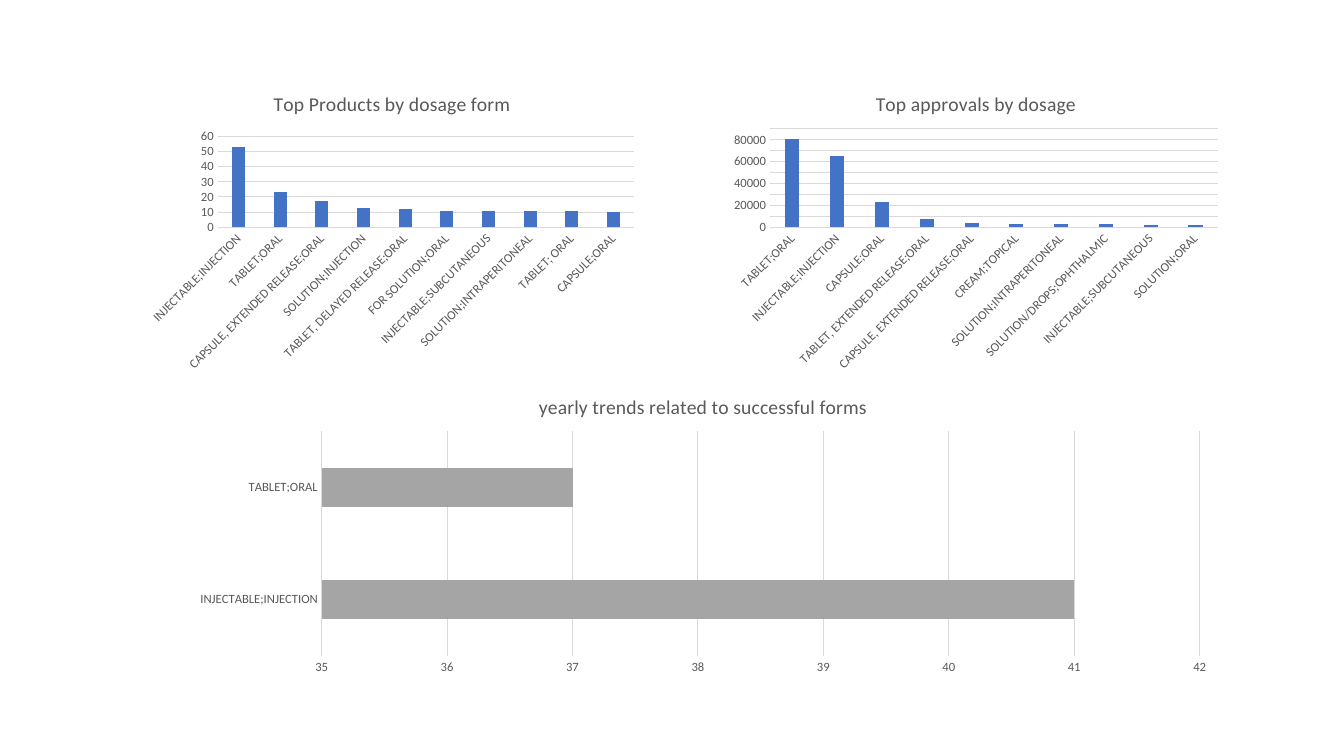
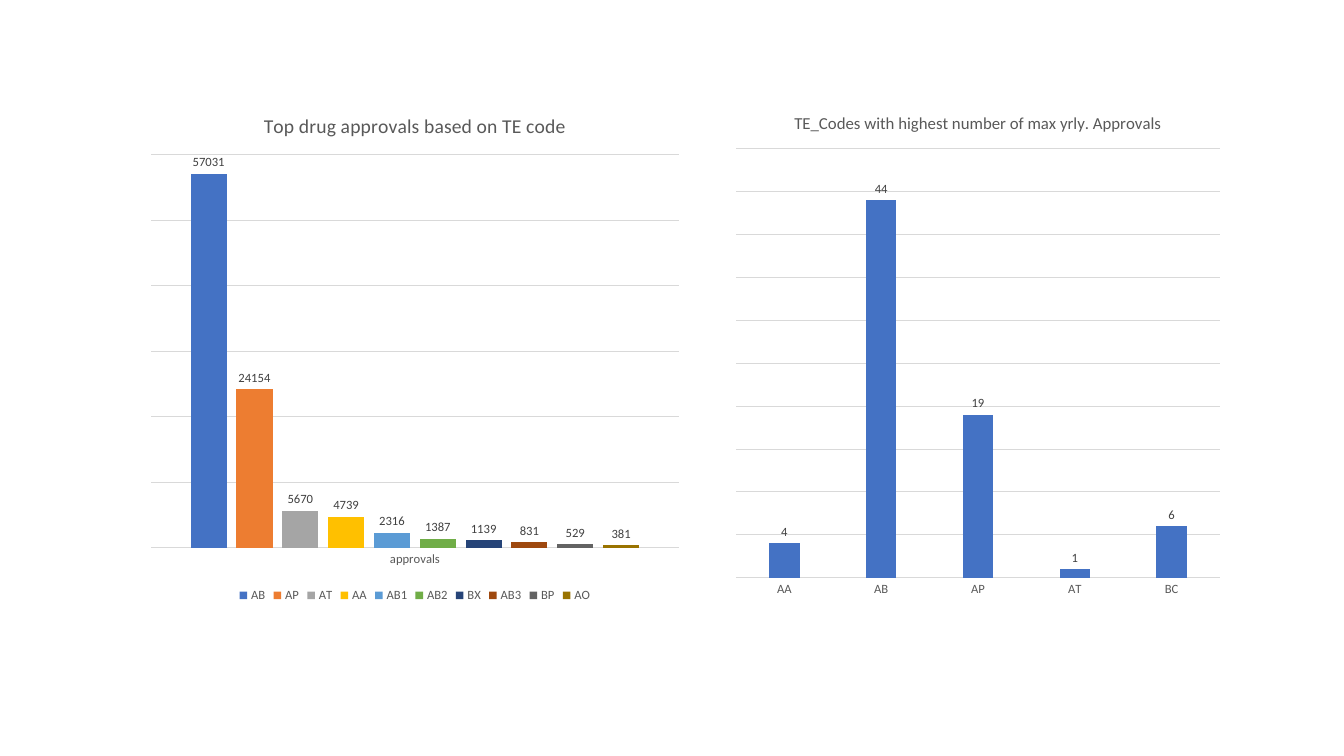
"""Build two slides of charts on drug approvals by dosage form and TE code."""
from pptx import Presentation
from pptx.chart.data import CategoryChartData
from pptx.dml.color import RGBColor
from pptx.enum.chart import XL_CHART_TYPE as ChartType
from pptx.enum.chart import XL_LABEL_POSITION as LabelPosition
from pptx.enum.chart import XL_LEGEND_POSITION as LegendPosition
from pptx.enum.chart import XL_TICK_MARK as TickMark
from pptx.util import Inches, Pt

BLACK = RGBColor(0x00, 0x00, 0x00)
LABEL_GRAY = RGBColor(0x40, 0x40, 0x40)
TEXT_GRAY = RGBColor(0x59, 0x59, 0x59)
GRID_GRAY = RGBColor(0xD9, 0xD9, 0xD9)
BLUE = RGBColor(0x44, 0x72, 0xC4)
GRAY = RGBColor(0xA5, 0xA5, 0xA5)
PALETTE = [
    BLUE,
    RGBColor(0xED, 0x7D, 0x31),
    GRAY,
    RGBColor(0xFF, 0xC0, 0x00),
    RGBColor(0x5B, 0x9B, 0xD5),
    RGBColor(0x70, 0xAD, 0x47),
    RGBColor(0x26, 0x44, 0x78),
    RGBColor(0x9E, 0x48, 0x0E),
    RGBColor(0x63, 0x63, 0x63),
    RGBColor(0x99, 0x73, 0x00),
]

PRODUCTS = {
    "INJECTABLE;INJECTION": 53,
    "TABLET;ORAL": 23,
    "CAPSULE, EXTENDED RELEASE;ORAL": 17,
    "SOLUTION;INJECTION": 13,
    "TABLET, DELAYED RELEASE;ORAL": 12,
    "FOR SOLUTION;ORAL": 11,
    "INJECTABLE;SUBCUTANEOUS": 11,
    "SOLUTION;INTRAPERITONEAL": 11,
    "TABLET; ORAL": 11,
    "CAPSULE;ORAL": 10,
}
APPROVALS = {
    "TABLET;ORAL": 81000,
    "INJECTABLE;INJECTION": 65000,
    "CAPSULE;ORAL": 23000,
    "TABLET, EXTENDED RELEASE;ORAL": 8000,
    "CAPSULE, EXTENDED RELEASE;ORAL": 4000,
    "CREAM;TOPICAL": 3000,
    "SOLUTION;INTRAPERITONEAL": 3000,
    "SOLUTION/DROPS;OPHTHALMIC": 3000,
    "INJECTABLE;SUBCUTANEOUS": 2000,
    "SOLUTION;ORAL": 2000,
}
YEARLY_FORMS = {"INJECTABLE;INJECTION": 41, "TABLET;ORAL": 37}
TE_APPROVALS = {
    "AB": 57031, "AP": 24154, "AT": 5670, "AA": 4739, "AB1": 2316,
    "AB2": 1387, "BX": 1139, "AB3": 831, "BP": 529, "AO": 381,
}
TE_YEARLY = {"AA": 4, "AB": 44, "AP": 19, "AT": 1, "BC": 6}


class ChartDeck:
    """Hold the deck, its chart style and the current slide."""

    def __init__(self):
        """Start an empty widescreen deck."""
        self.deck = Presentation()
        self.deck.slide_width = Inches(13.33)
        self.deck.slide_height = Inches(7.5)
        self.page = None

    def add_page(self):
        """Add a blank slide and make it current."""
        self.page = self.deck.slides.add_slide(self.deck.slide_layouts[6])

    def style_font(self, font, size=9, color=TEXT_GRAY):
        """Apply the deck's typeface with a size and colour."""
        formats = {"name": "Calibri", "size": Pt(size), "bold": False}
        for name, value in formats.items():
            setattr(font, name, value)
        font.color.rgb = color

    def style_line(self, line):
        """Draw a thin light line."""
        line.color.rgb = GRID_GRAY
        line.width = Pt(0.75)

    def add_title(self, chart, text, size):
        """Give a chart its heading."""
        chart.has_title = True
        para = chart.chart_title.text_frame.paragraphs[0]
        span = para.add_run()
        span.text = text
        self.style_font(span.font, size)
        chart.chart_title.include_in_layout = False

    def style_axes(self, chart, scale, slanted, show_values):
        """Format both axes and the gridlines."""
        category, value = chart.category_axis, chart.value_axis
        for axis in (category, value):
            axis.major_tick_mark = TickMark.NONE
            axis.minor_tick_mark = TickMark.NONE
            self.style_font(axis.tick_labels.font)
        self.style_line(category.format.line)
        if slanted:
            body = category.tick_labels.font._element.getparent().getparent().getparent().bodyPr
            body.set("rot", "-2700000")
        limits = ("minimum_scale", "maximum_scale", "major_unit")
        for name, number in zip(limits, scale):
            setattr(value, name, number)
        value.visible = show_values
        value.format.line.fill.background()
        value.has_major_gridlines = True
        self.style_line(value.major_gridlines.format.line)

    def add_labels(self, plot):
        """Show each series' values above its bars."""
        for series in plot.series:
            labels = series.data_labels
            labels.show_value = True
            labels.position = LabelPosition.OUTSIDE_END
            self.style_font(labels.font, color=LABEL_GRAY)

    def add_legend(self, chart):
        """Place a legend below the plot."""
        chart.has_legend = True
        chart.legend.position = LegendPosition.BOTTOM
        chart.legend.include_in_layout = False
        self.style_font(chart.legend.font)

    def add_bars(self, place, title, categories, series, scale,
                 kind=ChartType.COLUMN_CLUSTERED, colors=PALETTE, title_size=14,
                 gap=219, overlap=-27, slanted=False, labelled=False):
        """Add a bar or column chart to the current slide."""
        data = CategoryChartData()
        data.categories = categories
        for name, values in series.items():
            data.add_series(name, values)
        box = [Inches(length) for length in place]
        chart = self.page.shapes.add_chart(kind, *box, data).chart
        self.style_font(chart.font, 10, BLACK)
        self.add_title(chart, title, title_size)
        self.style_axes(chart, scale, slanted, not labelled)
        plot = chart.plots[0]
        formats = {"gap_width": gap, "overlap": overlap, "vary_by_categories": False}
        for name, value in formats.items():
            setattr(plot, name, value)
        for bars, color in zip(plot.series, colors):
            bars.invert_if_negative = False
            bars.format.fill.solid()
            bars.format.fill.fore_color.rgb = color
        if labelled:
            self.add_labels(plot)
        chart.has_legend = False
        if len(series) > 1:
            self.add_legend(chart)

    def add_single(self, place, title, points, scale, **options):
        """Add a chart with one series."""
        series = {"Series 1": list(points.values())}
        self.add_bars(place, title, list(points), series, scale, **options)


def main():
    """Build and save the deck."""
    charts = ChartDeck()

    charts.add_page()
    charts.add_single((1.39, 0.75, 5, 3), "Top Products by dosage form",
                      PRODUCTS, (0, 60, 10), slanted=True)
    charts.add_single((7.18, 0.75, 5, 3), "Top approvals by dosage",
                      APPROVALS, (0, 90000, 10000), slanted=True)
    charts.add_single((1.78, 3.75, 10.39, 3), "yearly trends related to successful forms",
                      YEARLY_FORMS, (35, 42, 1), kind=ChartType.BAR_CLUSTERED,
                      colors=[GRAY], gap=182, overlap=0)

    charts.add_page()
    te_series = {code: [count] for code, count in TE_APPROVALS.items()}
    charts.add_bars((1.39, 0.92, 5.45, 5.1), "Top drug approvals based on TE code",
                    ["approvals"], te_series, (0, 60000, 10000), labelled=True)
    charts.add_single((7.2, 0.92, 5, 5.1),
                      "TE_Codes with highest number of max yrly. Approvals",
                      TE_YEARLY, (0, 50, 5), title_size=12, labelled=True)

    charts.deck.save("out.pptx")


if __name__ == "__main__":
    main()
